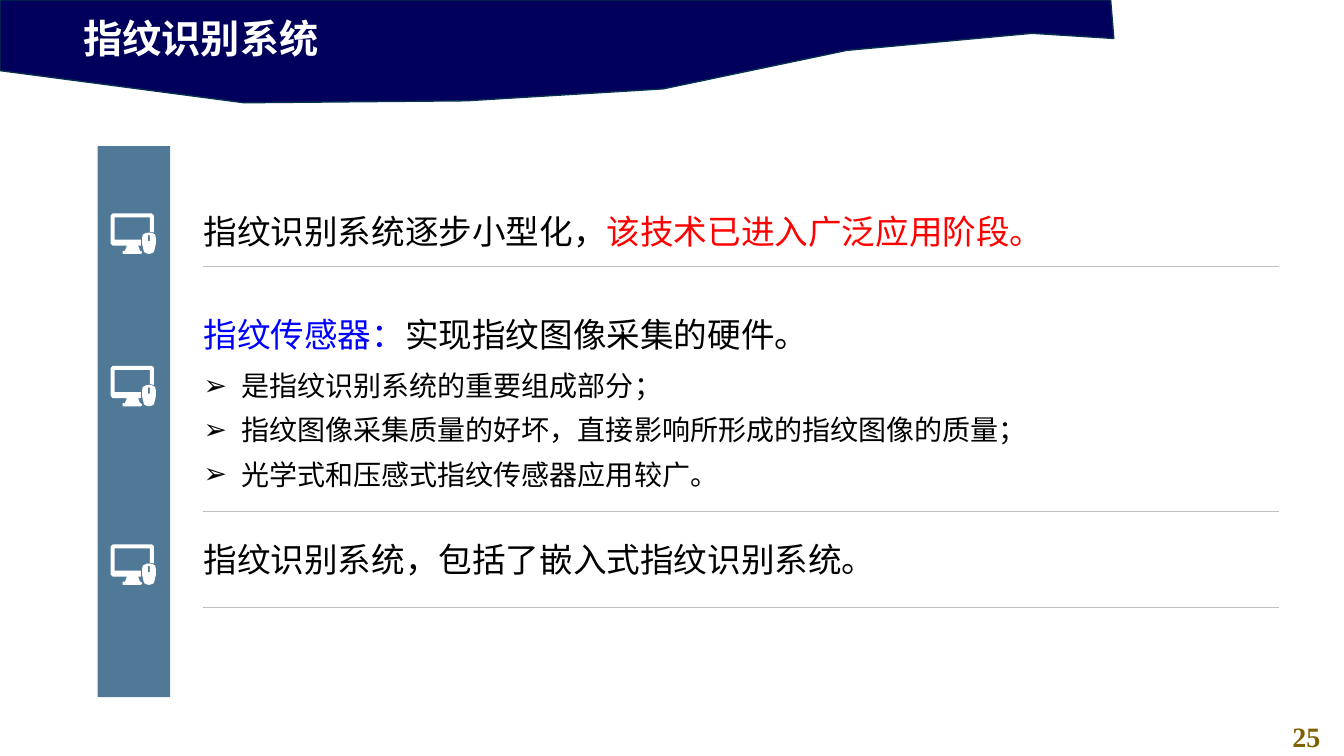
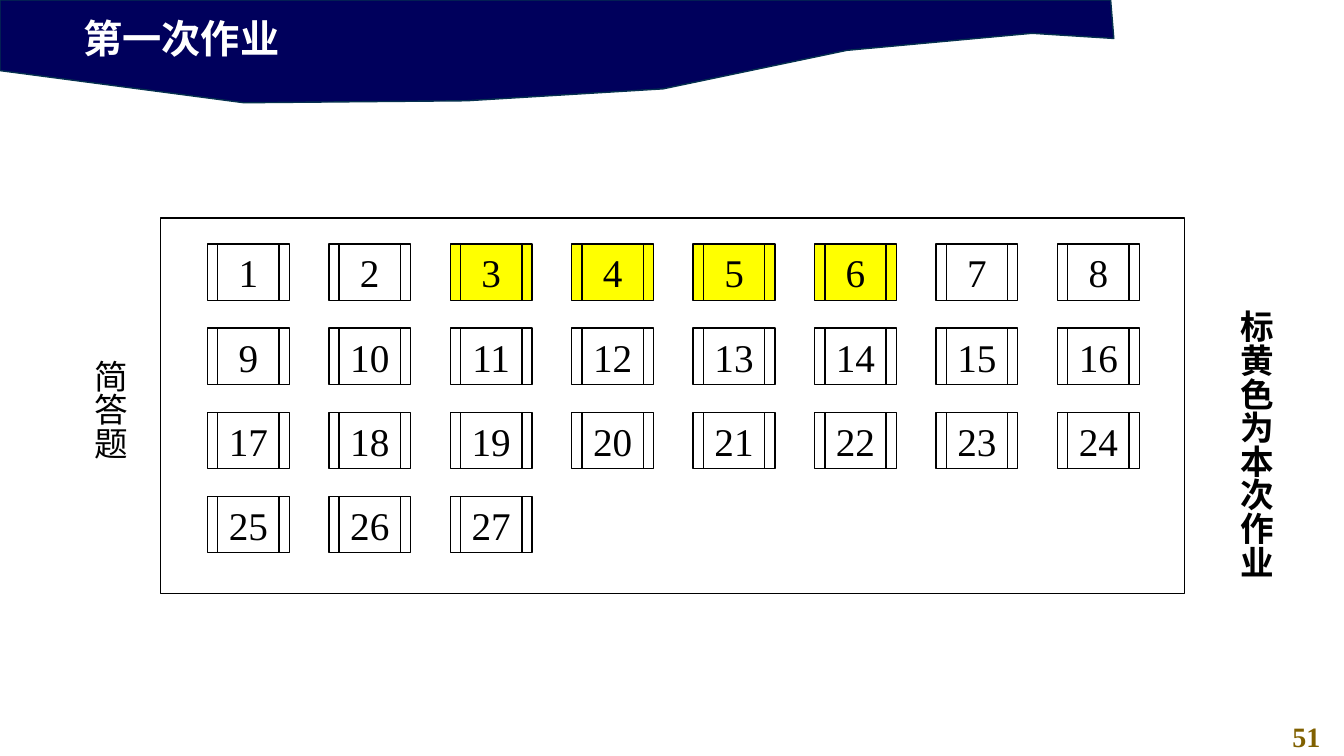
from dataclasses import dataclass

from lxml import etree
from pptx import Presentation
from pptx.dml.color import RGBColor
from pptx.enum.shapes import MSO_CONNECTOR, MSO_SHAPE
from pptx.enum.text import MSO_ANCHOR, MSO_AUTO_SIZE, PP_ALIGN
from pptx.oxml.ns import qn
from pptx.util import Cm, Pt

LEFT, CENTER = PP_ALIGN.LEFT, PP_ALIGN.CENTER
TOP, MIDDLE, BOTTOM = MSO_ANCHOR.TOP, MSO_ANCHOR.MIDDLE, MSO_ANCHOR.BOTTOM
FIXED = MSO_AUTO_SIZE.NONE
RECT = MSO_SHAPE.RECTANGLE
PROCESS = MSO_SHAPE.FLOWCHART_PREDEFINED_PROCESS
STRAIGHT = MSO_CONNECTOR.STRAIGHT

NAVY = RGBColor(0x00, 0x00, 0x5C)
EDGE = RGBColor(0x05, 0x30, 0x4F)
STEEL = RGBColor(0x07, 0x41, 0x6B)
GOLD = RGBColor(0x80, 0x60, 0x00)
GREY = RGBColor(0xBF, 0xBF, 0xBF)
WHITE = RGBColor(0xFF, 0xFF, 0xFF)
BLACK = RGBColor(0x00, 0x00, 0x00)
RED = RGBColor(0xFF, 0x00, 0x00)
BLUE = RGBColor(0x00, 0x00, 0xFF)
YELLOW = RGBColor(0xFF, 0xFF, 0x00)

FACE = "Times New Roman"
TITLE = {"name": FACE, "size": Pt(28), "bold": True}
HEAD = {"name": FACE, "size": Pt(24), "bold": False}
STRONG = HEAD | {"bold": True}
ITEM = {"name": FACE, "size": Pt(20), "bold": False}
PAGE = ITEM | {"bold": True}
NUMBER = {"name": FACE, "size": Pt(28), "bold": False}
PLAIN = {"word_wrap": True, "auto_size": FIXED, "vertical_anchor": TOP}
LOW = PLAIN | {"vertical_anchor": BOTTOM}
UPRIGHT = PLAIN | {"word_wrap": False}
TIGHT = PLAIN | {"vertical_anchor": MIDDLE, "margin_left": 0, "margin_right": 0}
LIST = {"line_spacing": 1.32, "space_before": Pt(0), "alignment": LEFT}

UNIT = Cm(0.01)
BAND = [(0, 0), (0, 178), (615, 259), (1176, 254), (1671, 224), (2134, 127),
        (2601, 84), (2807, 97), (2799, 0)]
SCREEN = [(5, 0), (104, 0), (109, 5), (109, 48), (99, 46), (99, 10), (10, 10),
          (10, 66), (76, 66), (76, 81), (69, 81), (74, 94), (76, 94), (79, 97),
          (79, 99), (76, 102), (30, 102), (30, 94), (36, 94), (41, 81), (5, 81),
          (0, 76), (0, 5)]
MOUSE = [(96, 48), (104, 49), (112, 53), (114, 63), (114, 76), (109, 97),
         (104, 100), (96, 102), (89, 100), (84, 97), (79, 76), (79, 63),
         (81, 53), (89, 49)]
WHEEL = [(96, 53), (99, 56), (99, 69), (96, 71), (94, 69), (94, 56)]


@dataclass
class Box:
    left: float
    top: float
    width: float
    height: float

    def lengths(self) -> tuple:
        return Cm(self.left), Cm(self.top), Cm(self.width), Cm(self.height)


@dataclass
class Row:
    box: Box
    icon: float
    rule: float
    runs: list


ROWS = [
    Row(Box(4.88, 4.83, 27.1, 1.63), 5.38, 6.71,
        [("指纹识别系统逐步小型化，", BLACK), ("该技术已进入广泛应用阶段。", RED)]),
    Row(Box(4.88, 7.87, 27.1, 1.17), 9.22, 12.88,
        [("指纹传感器：", BLUE), ("实现指纹图像采集的硬件。", BLACK)]),
    Row(Box(4.88, 13.56, 27.1, 1.17), 13.72, 15.29,
        [("指纹识别系统，包括了嵌入式指纹识别系统。", BLACK)]),
]
POINTS = ["是指纹识别系统的重要组成部分；",
          "指纹图像采集质量的好坏，直接影响所形成的指纹图像的质量；",
          "光学式和压感式指纹传感器应用较广。"]
LABELS = [("简答题", Box(1.85, 8.81, 1.55, 2.82), HEAD),
          ("标黄色为本次作业", Box(30.73, 7.57, 1.55, 7.09), STRONG)]
COLS, COUNT = 8, 27
MARKED = range(3, 7)
CELL = Box(5.23, 6.15, 2.06, 1.42)
STEP_X, STEP_Y = 3.06, 2.12


def apply(target, values: dict) -> None:
    for key, value in values.items():
        setattr(target, key, value)


def place(shape, box: Box) -> None:
    apply(shape, dict(zip(("left", "top", "width", "height"), box.lengths())))


def write(para, runs: list, style: dict) -> None:
    for text, color in runs:
        run = para.add_run()
        run.text = text
        apply(run.font, style)
        run.font.color.rgb = color


def paint(shape, fill: RGBColor | None, line: RGBColor | None) -> None:
    shape.shadow.inherit = False
    if fill is None:
        shape.fill.background()
    else:
        shape.fill.solid()
        shape.fill.fore_color.rgb = fill
    if line is None:
        shape.line.fill.background()
    else:
        shape.line.color.rgb = line
        shape.line.width = Pt(1)


def add_text(slide, box: Box, runs: list, style: dict, frame: dict = PLAIN):
    shape = slide.shapes.add_textbox(*box.lengths())
    apply(shape.text_frame, frame)
    write(shape.text_frame.paragraphs[0], runs, style)
    return shape


def add_shape(slide, kind, box: Box, fill: RGBColor | None, line: RGBColor | None):
    shape = slide.shapes.add_shape(kind, *box.lengths())
    paint(shape, fill, line)
    return shape


def add_path(slide, parts: list, left: float, top: float):
    first, *rest = parts
    pen = slide.shapes.build_freeform(*first[0], scale=UNIT)
    pen.add_line_segments(first[1:], close=True)
    for part in rest:
        pen.move_to(*part[0])
        pen.add_line_segments(part[1:], close=True)
    return pen.convert_to_shape(Cm(left), Cm(top))


def add_rule(slide, top: float) -> None:
    rule = slide.shapes.add_connector(STRAIGHT, Cm(5.11), Cm(top), Cm(32.23), Cm(top))
    rule.line.color.rgb = GREY
    rule.line.width = Pt(0.25)
    etree.SubElement(rule._element.spPr, qn("a:effectLst"))


def add_band(deck, slide) -> None:
    band = add_path(slide, [BAND], 0, 0)
    paint(band, NAVY, EDGE)
    band._element.nvSpPr.cNvPr.set("id", "99")
    deck.slide_master.shapes._spTree.insert(2, band._element)


def add_slide(deck, layout: int, title: str, page: str):
    slide = deck.slides.add_slide(deck.slide_layouts[layout])
    head = slide.shapes.title
    place(head, Box(1.85, 0.23, 19.5, 1.45))
    apply(head.text_frame, PLAIN)
    para = head.text_frame.paragraphs[0]
    para.alignment = LEFT
    write(para, [(title, WHITE)], TITLE)
    label = add_text(slide, Box(32, 18.01, 1.85, 1.12), [(page, GOLD)], PAGE)
    label.text_frame.paragraphs[0].alignment = CENTER
    return slide


def add_list(slide) -> None:
    body = slide.placeholders[1]
    place(body, Box(4.88, 8.89, 26.09, 3.07))
    frame = body.text_frame
    apply(frame, PLAIN)
    for i, text in enumerate(POINTS):
        para = frame.add_paragraph() if i else frame.paragraphs[0]
        props = para._p.get_or_add_pPr()
        props.set("marL", str(Cm(0.95)))
        props.set("indent", str(-Cm(0.95)))
        etree.SubElement(props, qn("a:buChar"), char="➢")
        apply(para, LIST)
        write(para, [(text, BLACK)], ITEM)


def fill_system(slide) -> None:
    bar = add_shape(slide, RECT, Box(2.46, 3.68, 1.83, 13.89), STEEL, None)
    tint = bar._element.spPr.find(qn("a:solidFill"))[0]
    etree.SubElement(tint, qn("a:alpha"), val="70000")
    add_list(slide)
    for row in ROWS:
        icon = add_path(slide, [SCREEN, MOUSE, WHEEL], 2.79, row.icon)
        paint(icon, WHITE, None)
        add_text(slide, row.box, row.runs, HEAD, LOW)
        add_rule(slide, row.rule)


def fill_tasks(slide) -> None:
    add_shape(slide, RECT, Box(4.04, 5.49, 25.81, 9.47), None, BLACK)
    for i in range(COUNT):
        line, col = divmod(i, COLS)
        box = Box(CELL.left + col * STEP_X, CELL.top + line * STEP_Y,
                  CELL.width, CELL.height)
        fill = YELLOW if i + 1 in MARKED else None
        cell = add_shape(slide, PROCESS, box, fill, BLACK)
        apply(cell.text_frame, TIGHT)
        para = cell.text_frame.paragraphs[0]
        para.alignment = CENTER
        write(para, [(str(i + 1), BLACK)], NUMBER)
    for text, box, style in LABELS:
        label = add_text(slide, box, [(text, BLACK)], style, UPRIGHT)
        label.text_frame._txBody.bodyPr.set("vert", "eaVert")


def main() -> None:
    deck = Presentation()
    deck.slide_width, deck.slide_height = Cm(33.87), Cm(19.05)
    system = add_slide(deck, 1, "指纹识别系统", "25")
    add_band(deck, system)
    fill_system(system)
    fill_tasks(add_slide(deck, 5, "第一次作业", "51"))
    deck.save("out.pptx")


if __name__ == "__main__":
    main()
